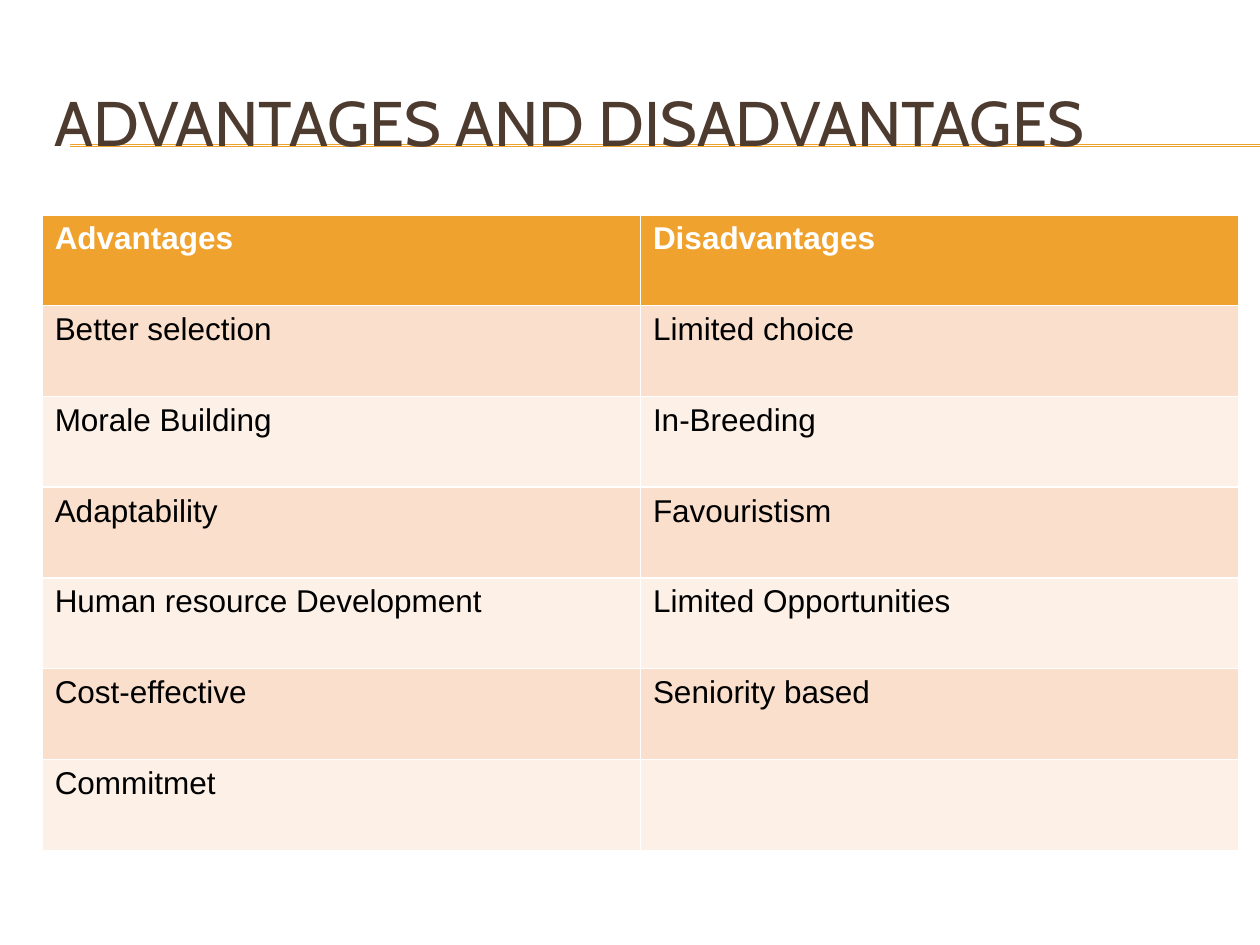
"""Build the slide comparing advantages and disadvantages in a table."""
import pptx
import pptx.dml.color
import pptx.enum.shapes
import pptx.enum.text
import pptx.util
from lxml import etree

Cm, Pt = pptx.util.Cm, pptx.util.Pt

TITLE = "ADVANTAGES AND DISADVANTAGES"
ROWS = [
    ("Advantages", "Disadvantages"),
    ("Better selection", "Limited choice"),
    ("Morale Building", "In-Breeding"),
    ("Adaptability", "Favouristism"),
    ("Human resource Development", "Limited Opportunities"),
    ("Cost-effective", "Seniority based"),
    ("Commitmet", ""),
]
ORANGE, BROWN, WHITE, BLACK = "F0A22E", "4E3B30", "FFFFFF", "000000"
BANDS = ("FCF0E7", "F9DFCC")
RULES_Y = (2.92, 2.95)
LEFT, COL_W, ROW_H = 0.85, 12.06, 1.83
A_NS = "http://schemas.openxmlformats.org/drawingml/2006/main"


def rgb(value):
    return pptx.dml.color.RGBColor.from_string(value)


def set_font(p, name, size, color, bold=False):
    p.font.name, p.font.size, p.font.bold = name, Pt(size), bold
    p.font.color.rgb = rgb(color)


def add_rule(s, y):
    sp = s.shapes.add_connector(
        pptx.enum.shapes.MSO_CONNECTOR.STRAIGHT, Cm(1.42), Cm(y), Cm(25.4), Cm(y))
    sp.line.color.rgb = rgb(ORANGE)
    sp.line.width = Pt(0.75)
    etree.SubElement(sp._element.spPr, f"{{{A_NS}}}effectLst")


def add_title(s):
    sp = s.shapes.add_textbox(Cm(LEFT), Cm(1.27), Cm(24.13), Cm(2.34))
    tf = sp.text_frame
    tf.word_wrap = True
    tf.vertical_anchor = pptx.enum.text.MSO_ANCHOR.MIDDLE
    p = tf.paragraphs[0]
    p.text = TITLE
    set_font(p, "Cabin", 36, BROWN)


def add_comparison(s):
    n_rows, n_cols = len(ROWS), len(ROWS[0])
    table = s.shapes.add_table(
        n_rows, n_cols, Cm(LEFT), Cm(4.33), Cm(COL_W * n_cols), Cm(ROW_H * n_rows)).table
    for i, row in enumerate(ROWS):
        header = i == 0
        for j, text in enumerate(row):
            cell = table.cell(i, j)
            cell.fill.solid()
            cell.fill.fore_color.rgb = rgb(ORANGE if header else BANDS[i % 2])
            p = cell.text_frame.paragraphs[0]
            p.text = text
            set_font(p, "Arial", 18, WHITE if header else BLACK, header)


def main():
    prs = pptx.Presentation()
    prs.slide_width, prs.slide_height = Cm(25.4), Cm(19.05)
    s = prs.slides.add_slide(prs.slide_layouts[6])
    for y in RULES_Y:
        add_rule(s, y)
    add_title(s)
    add_comparison(s)
    prs.save("out.pptx")


if __name__ == "__main__":
    main()
